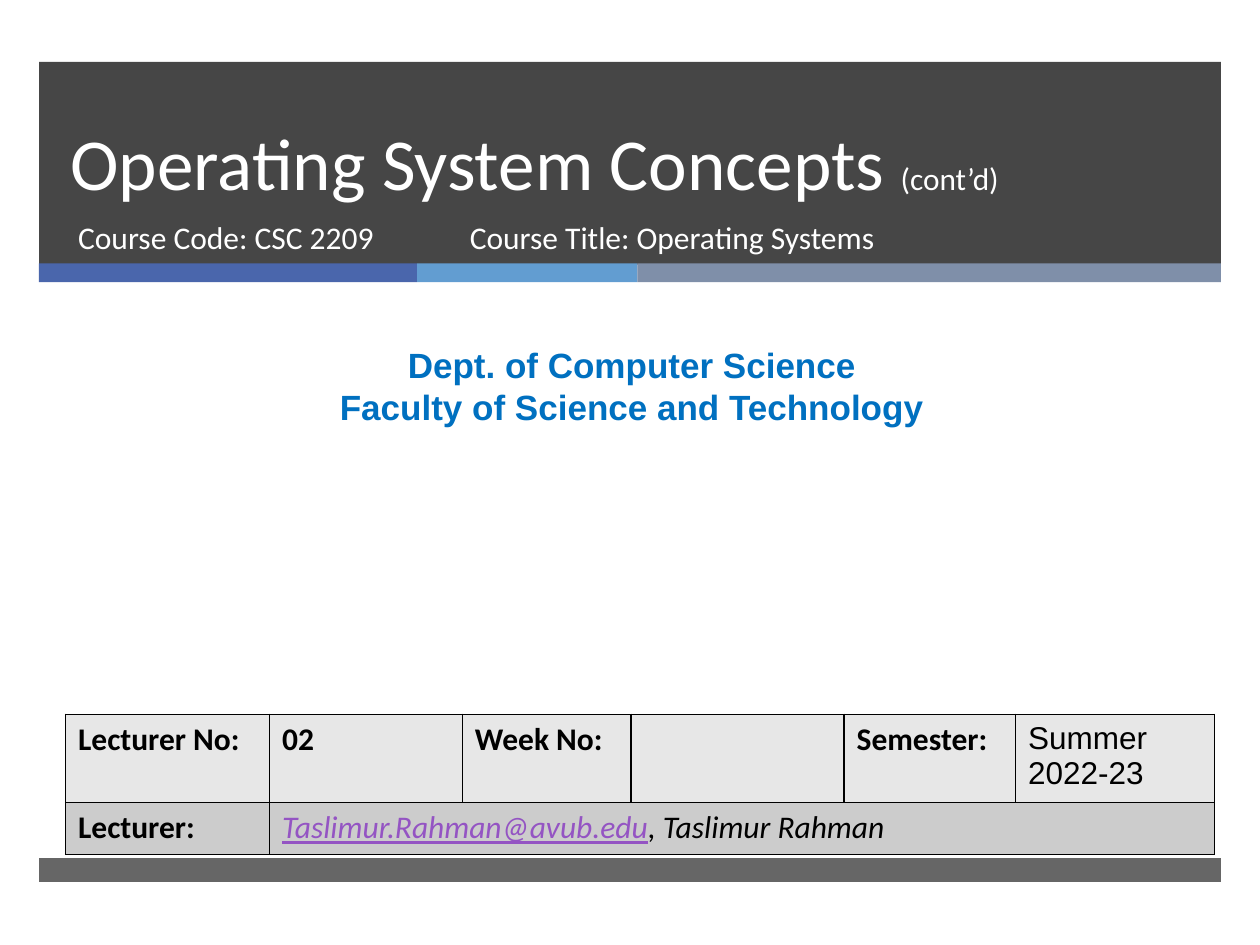
from lxml.etree import SubElement
from pptx import Presentation
from pptx.dml.color import RGBColor
from pptx.enum.shapes import MSO_SHAPE
from pptx.enum.text import MSO_ANCHOR, MSO_AUTO_SIZE, PP_ALIGN
from pptx.oxml import parse_xml
from pptx.oxml.ns import nsdecls, qn
from pptx.util import Inches, Pt

WHITE = RGBColor(0xFF, 0xFF, 0xFF)
BLACK = RGBColor(0x00, 0x00, 0x00)
CHARCOAL = RGBColor(0x26, 0x26, 0x26)
INDIGO = RGBColor(0x4A, 0x66, 0xAC)
SKY = RGBColor(0x62, 0x9D, 0xD1)
SLATE = RGBColor(0x7F, 0x8F, 0xA9)
DEPT_BLUE = RGBColor(0x00, 0x70, 0xC0)
MAIL_PURPLE = RGBColor(0x94, 0x54, 0xC3)
LIGHT_ROW = RGBColor(0xE7, 0xE7, 0xE7)
DARK_ROW = RGBColor(0xCC, 0xCC, 0xCC)


def add_run(paragraph, text, size, color, face="Calibri", bold=False,
            italic=False, underline=False):
    run = paragraph.add_run()
    run.text = text
    font = run.font
    font.name, font.size, font.color.rgb = face, Pt(size), color
    font.bold, font.italic, font.underline = bold, italic, underline


def add_band(slide, left, top, width, height, color, opacity=100):
    band = slide.shapes.add_shape(MSO_SHAPE.RECTANGLE, Inches(left), Inches(top),
                                  Inches(width), Inches(height))
    band.shadow.inherit = False
    band.fill.solid()
    band.fill.fore_color.rgb = color
    band.line.fill.background()
    if opacity < 100:
        rgb = band.fill._xPr.find(qn("a:solidFill"))[0]
        SubElement(rgb, qn("a:alpha")).set("val", str(opacity * 1000))


def prepare_text(holder, left, top, width, height, anchor=MSO_ANCHOR.TOP):
    holder.left, holder.top = Inches(left), Inches(top)
    holder.width, holder.height = Inches(width), Inches(height)
    frame = holder.text_frame
    frame.word_wrap = True
    frame.auto_size = MSO_AUTO_SIZE.NONE
    frame.vertical_anchor = anchor
    paragraph = frame.paragraphs[0]
    paragraph.alignment = PP_ALIGN.LEFT
    paragraph.space_before = Pt(0)
    return paragraph


def add_backdrop(slide, left, top, width):
    add_band(slide, left, top, width, 1.61, CHARCOAL, 85)
    stripe_left = left
    for stripe_width, color in ((3, INDIGO), (1.75, SKY), (4.63, SLATE)):
        add_band(slide, stripe_left, top + 1.6, stripe_width, 0.15, color)
        stripe_left += stripe_width
    add_band(slide, left, top + 6.32, width, 0.19, CHARCOAL, 70)


def add_heading(slide, left, top, width, height):
    title = prepare_text(slide.shapes.title, left, top, width, height, MSO_ANCHOR.BOTTOM)
    title.line_spacing = Pt(46)
    add_run(title, "Operating System Concepts ", 41.8, WHITE)
    add_run(title, "(cont’d)", 17.9, WHITE)

    course_top = top + height
    code = prepare_text(slide.placeholders[1], left + 0.06, course_top, 3.05, 0.53)
    add_run(code, "Course Code: CSC 2209", 18, WHITE)
    course_box = slide.shapes.add_textbox(0, 0, 0, 0)
    course = prepare_text(course_box, left + 3.17, course_top, 4.55, 0.53)
    add_run(course, "Course Title: Operating Systems", 18, WHITE)


def add_department(slide, left, top, width, height):
    department = slide.shapes.add_textbox(0, 0, 0, 0)
    line = prepare_text(department, left, top, width, height)
    for number, text in enumerate(("Dept. of Computer Science",
                                   "Faculty of Science and Technology")):
        if number:
            line = department.text_frame.add_paragraph()
        line.alignment = PP_ALIGN.CENTER
        add_run(line, text, 20, DEPT_BLUE, "Arial", bold=True)


def style_cell(cell, color):
    cell.fill.solid()
    cell.fill.fore_color.rgb = color
    properties = cell._tc.get_or_add_tcPr()
    for place, side in enumerate(("lnL", "lnR", "lnT", "lnB")):
        properties.insert(place, parse_xml(
            f'<a:{side} {nsdecls("a")} w="{Pt(0.96)}"><a:solidFill>'
            f'<a:srgbClr val="{BLACK}"/></a:solidFill></a:{side}>'))


def add_lecture_table(slide, left, top, column_widths, row_heights):
    table = slide.shapes.add_table(
        len(row_heights), len(column_widths), Inches(left), Inches(top),
        Inches(sum(column_widths)), Inches(sum(row_heights))).table
    for column, width in zip(table.columns, column_widths):
        column.width = Inches(width)
    for row, height, color in zip(table.rows, row_heights, (LIGHT_ROW, DARK_ROW)):
        row.height = Inches(height)
        for cell in row.cells:
            style_cell(cell, color)

    def cell_line(row, column):
        return table.cell(row, column).text_frame.paragraphs[0]

    labels = {(0, 0): "Lecturer No:", (0, 1): "02", (0, 2): "Week No:",
              (0, 4): "Semester:", (1, 0): "Lecturer:"}
    for position, label in labels.items():
        add_run(cell_line(*position), label, 18, BLACK, bold=True)
    add_run(cell_line(0, 5), "Summer 2022-23", 18, BLACK, "Arial")

    table.cell(1, 1).merge(table.cell(1, len(column_widths) - 1))
    lecturer = cell_line(1, 1)
    add_run(lecturer, "Taslimur.Rahman@avub.edu", 18, MAIL_PURPLE,
            italic=True, underline=True)
    add_run(lecturer, ", Taslimur Rahman", 18, BLACK, italic=True)


def main():
    deck = Presentation()
    deck.slide_width, deck.slide_height = Inches(10), Inches(7.5)
    slide = deck.slides.add_slide(deck.slide_layouts[0])
    add_backdrop(slide, 0.31, 0.49, 9.38)
    add_heading(slide, 0.46, 0.49, 8.54, 1.19)
    add_department(slide, 0.08, 2.68, 9.87, 0.77)
    add_lecture_table(slide, 0.52, 5.67, (1.62, 1.53, 1.34, 1.69, 1.36, 1.58), (0.7, 0.41))
    tree = slide.shapes._spTree
    for holder in list(slide.placeholders):
        tree.append(holder._element)
    deck.save("out.pptx")


if __name__ == "__main__":
    main()
